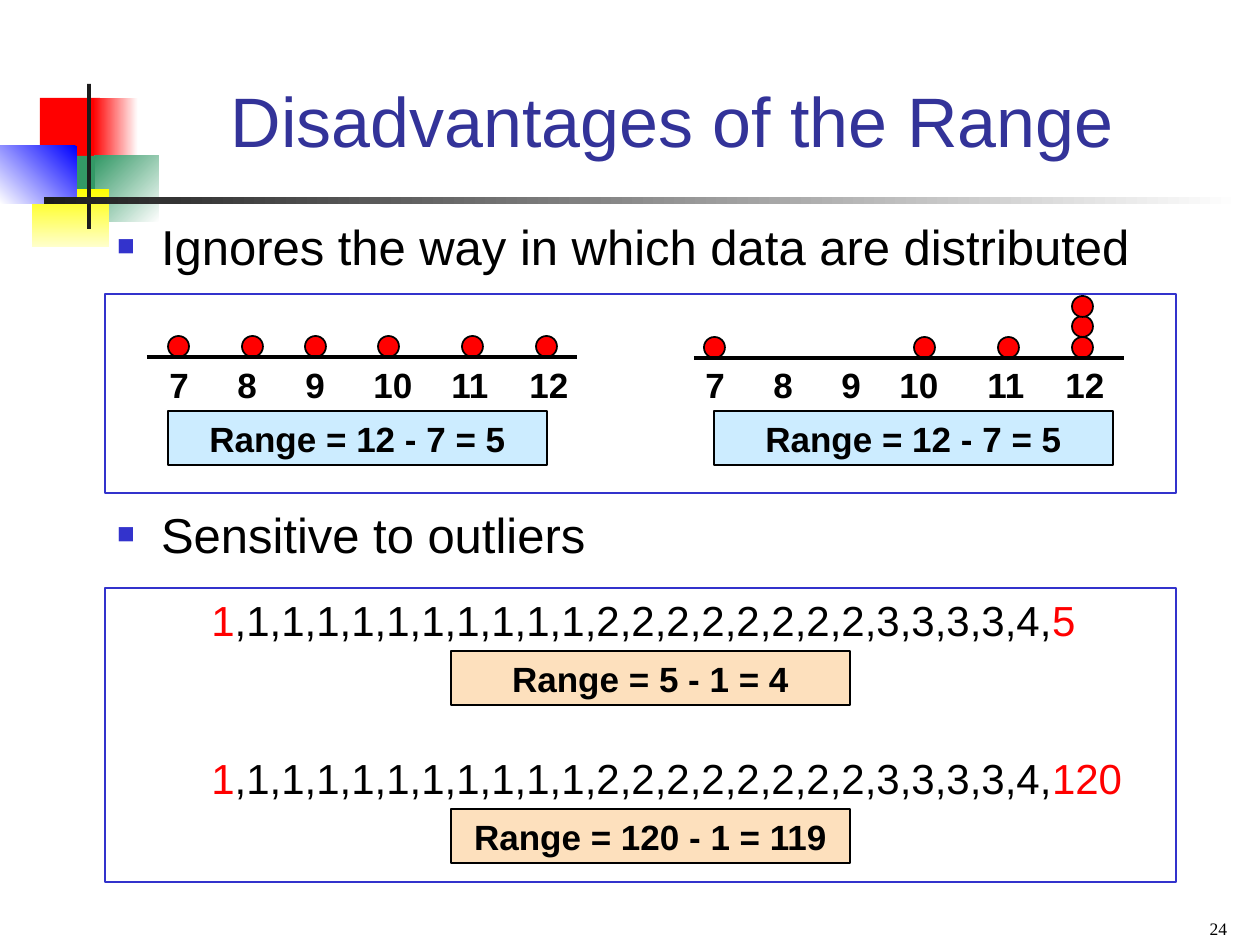
"""Build the slide on the disadvantages of the range."""
from lxml.etree import SubElement
from pptx import Presentation
from pptx.dml.color import RGBColor
from pptx.enum.shapes import MSO_CONNECTOR, MSO_SHAPE
from pptx.enum.text import MSO_ANCHOR, MSO_AUTO_SIZE, PP_ALIGN
from pptx.oxml.ns import qn
from pptx.util import Pt

PX = 7257
BLACK, RED, BLUE = "000000", "FF0000", "3333CC"
BOLD = {"name": "Arial", "size": Pt(20), "bold": True}
PLAIN = {"name": "Arial", "size": Pt(24), "bold": False}
GROW = {"word_wrap": True, "auto_size": MSO_AUTO_SIZE.SHAPE_TO_FIT_TEXT}
FIXED = {"word_wrap": True, "auto_size": MSO_AUTO_SIZE.NONE, "margin_left": 12 * PX, "margin_right": 12 * PX}
BOTTOM = {**FIXED, "vertical_anchor": MSO_ANCHOR.BOTTOM}

presentation = Presentation()
presentation.slide_width, presentation.slide_height = 1260 * PX, 945 * PX
slide = presentation.slides.add_slide(presentation.slide_layouts[1])
shapes = slide.shapes


def draw(kind, box, fill=None, outline=None, weight=1):
    shape = shapes.add_shape(kind, *(length * PX for length in box))
    shape.shadow.inherit = False
    if fill:
        shape.fill.solid()
        shape.fill.fore_color.rgb = RGBColor.from_string(fill)
    else:
        shape.fill.background()
    if outline:
        shape.line.color.rgb = RGBColor.from_string(outline)
        shape.line.width = Pt(weight)
    else:
        shape.line.fill.background()
    return shape


def write(paragraph, runs, font, align=PP_ALIGN.LEFT, tabs=()):
    paragraph.alignment = align
    if tabs:
        stops = SubElement(paragraph._p.get_or_add_pPr(), qn("a:tabLst"))
        for tab in tabs:
            SubElement(stops, qn("a:tab"), pos=str(tab * PX), algn="l")
    for text, color in runs:
        run = paragraph.add_run()
        run.text = text
        for name, value in font.items():
            setattr(run.font, name, value)
        run.font.color.rgb = RGBColor.from_string(color)


for box, start, end, angle in [
    ((40, 98, 60, 66), RED, RED, 0),
    ((93, 98, 45, 66), "FFFFFF", RED, 180),
    ((95, 156, 64, 66), "FFFFFF", "339966", 225),
    ((54, 156, 41, 66), "339966", "339966", 0),
    ((32, 189, 77, 58), "FFFF00", "FFFFCC", 90),
    ((0, 146, 77, 58), "0000FF", "FFFFFF", 135),
    ((87, 84, 4, 145), "1C1C1C", "1C1C1C", 0),
    ((44, 197, 1198, 7), "FFFFFF", "1C1C1C", 180),
]:
    ornament = draw(MSO_SHAPE.RECTANGLE, box, start)
    if start != end:
        ornament.fill.gradient()
        ornament.fill.gradient_angle = 360 - angle
        for stop, color in zip(ornament.fill.gradient_stops, (start, end)):
            stop.color.rgb = RGBColor.from_string(color)

title, body = shapes.title, slide.placeholders[1]
for holder, box, frame_format in [
    (title, (135, 32, 1074, 136), BOTTOM),
    (body, (105, 210, 1113, 567), FIXED),
]:
    for side, length in zip(("left", "top", "width", "height"), box):
        setattr(holder, side, length * PX)
    for name, value in frame_format.items():
        setattr(holder.text_frame, name, value)
write(title.text_frame.paragraphs[0], [("Disadvantages of the Range", "333399")],
      {**PLAIN, "size": Pt(40)}, PP_ALIGN.CENTER)

points = [("Ignores the way in which data are distributed", 0), ("Sensitive to outliers", 131)]
for index, (point, gap) in enumerate(points):
    paragraph = body.text_frame.add_paragraph() if index else body.text_frame.paragraphs[0]
    properties = paragraph._p.get_or_add_pPr()
    properties.set("marL", str(44 * PX))
    properties.set("indent", str(-44 * PX))
    SubElement(SubElement(properties, qn("a:buClr")), qn("a:srgbClr"), val=BLUE)
    SubElement(properties, qn("a:buSzPct"), val="60000")
    SubElement(properties, qn("a:buFont"), typeface="Arial")
    SubElement(properties, qn("a:buChar"), char="■")
    paragraph.space_before = Pt(gap)
    write(paragraph, [(point, BLACK)], {**PLAIN, "size": Pt(28)})

for top, height in [(294, 199), (588, 294)]:
    draw(MSO_SHAPE.RECTANGLE, (105, top, 1071, height), None, BLUE, 1.5)

for axis_left, axis_top, label_left, tabs, dots in [
    (147, 357, 157, (68, 136, 204, 282, 360),
     [(168, 336), (242, 336), (305, 336), (378, 336), (462, 336), (536, 336)]),
    (694, 358, 693, (68, 136, 194, 282, 360),
     [(704, 337), (914, 337), (998, 337), (1072, 337), (1072, 316), (1072, 296)]),
]:
    for dot_left, dot_top in dots:
        draw(MSO_SHAPE.OVAL, (dot_left, dot_top, 21, 21), RED, BLACK)
    axis = shapes.add_connector(MSO_CONNECTOR.STRAIGHT, axis_left * PX, axis_top * PX,
                                (axis_left + 430) * PX, axis_top * PX)
    axis.line.color.rgb = RGBColor.from_string(BLACK)
    axis.line.width = Pt(2.25)
    SubElement(axis._element.spPr, qn("a:effectLst"))
    scale = shapes.add_textbox(label_left * PX, 357 * PX, 460 * PX, 54 * PX).text_frame
    for name, value in GROW.items():
        setattr(scale, name, value)
    write(scale.paragraphs[0], [("7\t8\t9\t10\t11\t12", BLACK)], BOLD, tabs=tabs)

for top, maximum in [(588, "5"), (746, "120")]:
    series = shapes.add_textbox(73 * PX, top * PX, 1134 * PX, 63 * PX).text_frame
    for name, value in GROW.items():
        setattr(series, name, value)
    middle = "," + "1," * 10 + "2," * 8 + "3," * 4 + "4,"
    write(series.paragraphs[0], [("\t1", RED), (middle, BLACK), (maximum, RED)], PLAIN, tabs=(126,))

for left, top, width, fill, result in [
    (168, 411, 379, "CCECFF", "Range = 12 - 7 = 5"),
    (714, 411, 399, "CCECFF", "Range = 12 - 7 = 5"),
    (451, 651, 399, "FDE0BD", "Range = 5 - 1 = 4"),
    (451, 809, 399, "FDE0BD", "Range = 120 - 1 = 119"),
]:
    answer = draw(MSO_SHAPE.RECTANGLE, (left, top, width, 54), fill, BLACK).text_frame
    for name, value in GROW.items():
        setattr(answer, name, value)
    write(answer.paragraphs[0], [(result, BLACK)], BOLD, PP_ALIGN.CENTER)

page = shapes.add_textbox(945 * PX, 901 * PX, 294 * PX, 44 * PX).text_frame
for name, value in BOTTOM.items():
    setattr(page, name, value)
write(page.paragraphs[0], [("24", BLACK)], {"name": "Times New Roman", "size": Pt(10)}, PP_ALIGN.RIGHT)

presentation.save("out.pptx")
